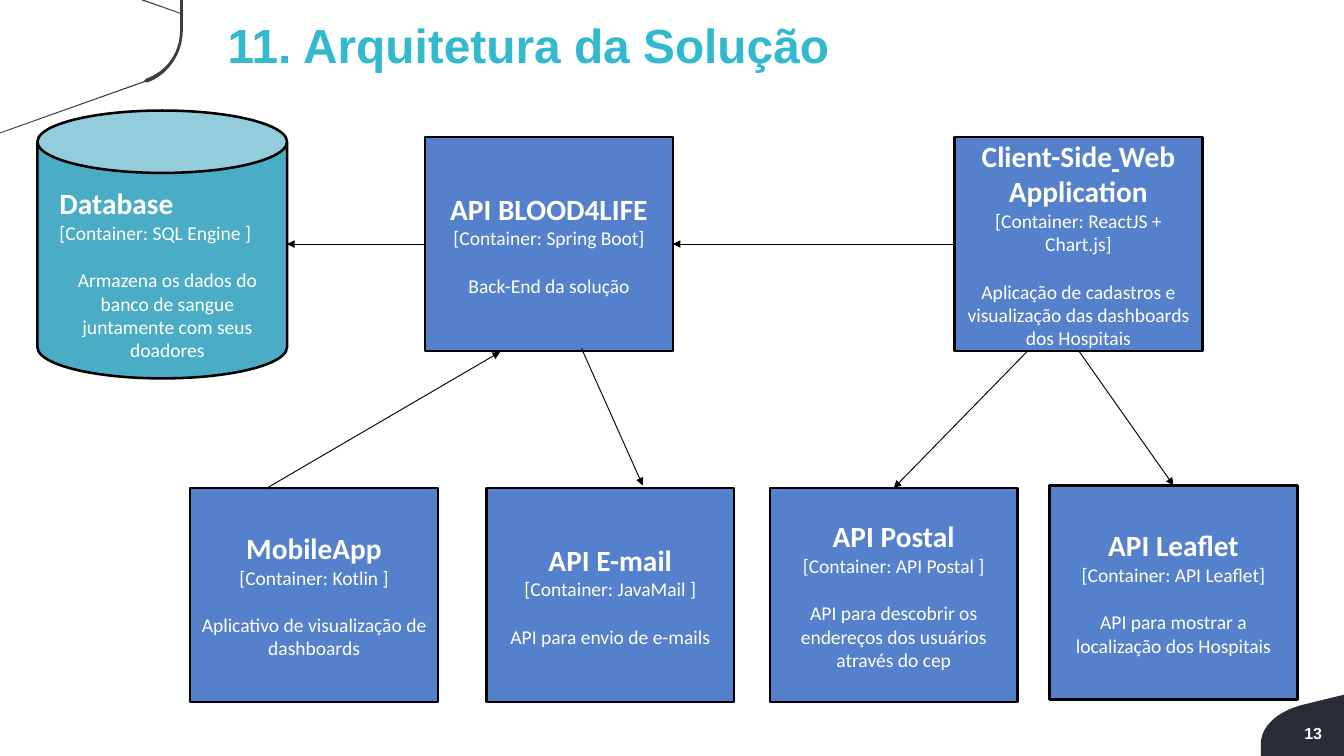
from lxml import etree
from pptx import Presentation
from pptx import util as u
from pptx.dml.color import RGBColor
from pptx.enum import shapes, text
from pptx.oxml.ns import qn

TOP, LEFT, RIGHT = 0, 1, 3
CENTER = text.PP_ALIGN.CENTER


def colour(value):
    return RGBColor.from_string(value)


def curve(start, first, second, end, steps=16):
    points = []
    for step in range(steps + 1):
        t = step / steps
        weights = ((1 - t) ** 3, 3 * t * (1 - t) ** 2, 3 * t * t * (1 - t), t ** 3)
        controls = (start, first, second, end)
        points.append(tuple(sum(w * c[axis] for w, c in zip(weights, controls)) for axis in (0, 1)))
    return points


class ArchitectureSlide:
    """Draw the elements of the architecture diagram in one shared style."""

    WHITE, BLACK, BLUE, TEAL = "FFFFFF", "000000", "5580CB", "4BACC6"
    ACCENT, DARK, GREY = "32B9CD", "292C34", "3B3D42"
    HEADING, BODY = 23.1, 15.4

    def __init__(self, presentation):
        self.slide = presentation.slides.add_slide(presentation.slide_layouts[5])

    def add_run(self, paragraph, wording, size, font="Calibri", bold=False, shade=WHITE):
        run = paragraph.add_run()
        run.text = wording
        run.font.name = font
        run.font.size = u.Pt(size)
        run.font.bold = bold
        run.font.color.rgb = colour(shade)
        return run

    def set_frame(self, frame, across=0.11, down=0.06, anchor=text.MSO_ANCHOR.TOP):
        frame.word_wrap = True
        frame.auto_size = text.MSO_AUTO_SIZE.NONE
        frame.vertical_anchor = anchor
        frame.margin_left = frame.margin_right = u.Inches(across)
        frame.margin_top = frame.margin_bottom = u.Inches(down)

    def title(self, wording):
        title = self.slide.shapes.title
        title.left, title.top = u.Inches(2.39), u.Inches(0.12)
        title.width, title.height = u.Inches(11.79), u.Inches(0.84)
        self.set_frame(title.text_frame, 0.1, 0.05)
        paragraph = title.text_frame.paragraphs[0]
        paragraph.alignment = text.PP_ALIGN.LEFT
        self.add_run(paragraph, wording, 37.7, "Arial", True, self.ACCENT)

    def outline(self, points, shade):
        vertices = [(u.Inches(x), u.Inches(y)) for x, y in points]
        builder = self.slide.shapes.build_freeform(*vertices[0], scale=1.0)
        builder.add_line_segments(vertices[1:], close=True)
        shape = builder.convert_to_shape()
        shape.shadow.inherit = False
        shape.fill.solid()
        shape.fill.fore_color.rgb = colour(shade)
        shape.line.fill.background()

    def text_box(self, left, top, width, height):
        return self.slide.shapes.add_textbox(*map(u.Inches, (left, top, width, height)))

    def page_number(self, wording):
        frame = self.text_box(13.79, 7.91, 0.69, 0.23).text_frame
        self.set_frame(frame, 0.02, 0.01)
        frame.paragraphs[0].alignment = text.PP_ALIGN.RIGHT
        self.add_run(frame.paragraphs[0], wording, 12.6, "Arial", True)

    def block(self, kind, left, top, width, height, shade):
        shape = self.slide.shapes.add_shape(kind, *map(u.Inches, (left, top, width, height)))
        shape.shadow.inherit = False
        shape.fill.solid()
        shape.fill.fore_color.rgb = colour(shade)
        shape.line.color.rgb = colour(self.BLACK)
        shape.line.width = u.Pt(2)
        return shape

    def describe(self, frame, heading, container, description, alignment=CENTER):
        first = frame.paragraphs[0]
        first.alignment = alignment
        for index, wording in enumerate(heading):
            run = self.add_run(first, wording, self.HEADING, bold=True)
            run.font.underline = index % 2 == 1
        second = frame.add_paragraph()
        second.alignment = alignment
        self.add_run(second, container, self.BODY)
        third = frame.add_paragraph()
        third.alignment = CENTER
        third.space_before = u.Pt(18.8)
        self.add_run(third, description, self.BODY)

    def container(self, left, top, heading, container, description):
        shape = self.block(shapes.MSO_SHAPE.RECTANGLE, left, top, 2.71, 2.34, self.BLUE)
        self.set_frame(shape.text_frame, anchor=text.MSO_ANCHOR.MIDDLE)
        self.describe(shape.text_frame, heading, container, description)
        return shape

    def database(self, heading, container, description):
        self.block(shapes.MSO_SHAPE.CAN, 0.41, 1.21, 2.73, 2.93, self.TEAL)
        frame = self.text_box(0.54, 1.97, 2.58, 2.06).text_frame
        self.set_frame(frame)
        self.describe(frame, heading, container, description, text.PP_ALIGN.LEFT)

    def arrow(self, start, end, source=None, target=None):
        connector = self.slide.shapes.add_connector(
            shapes.MSO_CONNECTOR.STRAIGHT, *map(u.Inches, start + end))
        connector.line.color.rgb = colour(self.BLACK)
        connector.line.width = u.Pt(0.75)
        properties = connector._element.spPr
        etree.SubElement(properties.find(qn("a:ln")), qn("a:tailEnd"), type="triangle")
        etree.SubElement(properties, qn("a:effectLst"))
        if source:
            connector.begin_connect(*source)
        if target:
            connector.end_connect(*target)


def main():
    presentation = Presentation()
    presentation.slide_width = u.Inches(14.7)
    presentation.slide_height = u.Inches(8.27)
    page = ArchitectureSlide(presentation)

    page.outline([(14.7, 7.6)]
                 + curve((14.25, 7.71), (13.97, 7.78), (13.79, 7.95), (13.79, 8.14))
                 + [(13.79, 8.27), (14.7, 8.27)], page.DARK)
    page.outline([(0, 1.46), (1.58, 0.9)]
                 + curve((1.62, 0.9), (1.85, 0.81), (2, 0.58), (2, 0.33))
                 + [(2, 0), (1.97, 0), (1.97, 0.14), (1.58, 0), (1.54, 0), (1.97, 0.15)]
                 + curve((1.97, 0.33), (1.97, 0.57), (1.83, 0.78), (1.6, 0.86))
                 + [(1.57, 0.89), (0, 1.45)], page.GREY)
    page.page_number("13")
    page.title("11. Arquitetura da Solução")

    leaflet = page.container(11.48, 5.31, ["API Leaflet"], "[Container: API Leaflet]",
                             "API para mostrar a localização dos Hospitais")
    backend = page.container(4.65, 1.5, ["API BLOOD4LIFE"], "[Container: Spring Boot]",
                             "Back-End da solução")
    client = page.container(10.44, 1.5, ["Client-Side", " ", "Web Application"],
                            "[Container: ReactJS + Chart.js]",
                            "Aplicação de cadastros e visualização das dashboards dos Hospitais")
    page.container(2.08, 5.34, ["MobileApp"], "[Container: Kotlin ]",
                   "Aplicativo de visualização de dashboards")
    page.container(5.32, 5.34, ["API E-mail"], "[Container: JavaMail ]",
                   "API para envio de e-mails")
    address = page.container(8.42, 5.34, ["API Postal"], "[Container: API Postal ]",
                             "API para descobrir os endereços dos usuários através do cep")
    page.database(["Database"], "[Container: SQL Engine ]",
                  "Armazena os dados do banco de sangue juntamente com seus doadores")

    page.arrow((10.44, 2.67), (7.36, 2.67), (client, LEFT), (backend, RIGHT))
    page.arrow((4.65, 2.67), (3.14, 2.67), source=(backend, LEFT))
    page.arrow((11.8, 3.84), (12.83, 5.31), target=(leaflet, TOP))
    page.arrow((11.24, 3.84), (9.77, 5.34), target=(address, TOP))
    page.arrow((2.9, 5.35), (5.47, 3.85))
    page.arrow((6.36, 3.81), (7.03, 5.31))

    presentation.save("out.pptx")


if __name__ == "__main__":
    main()
